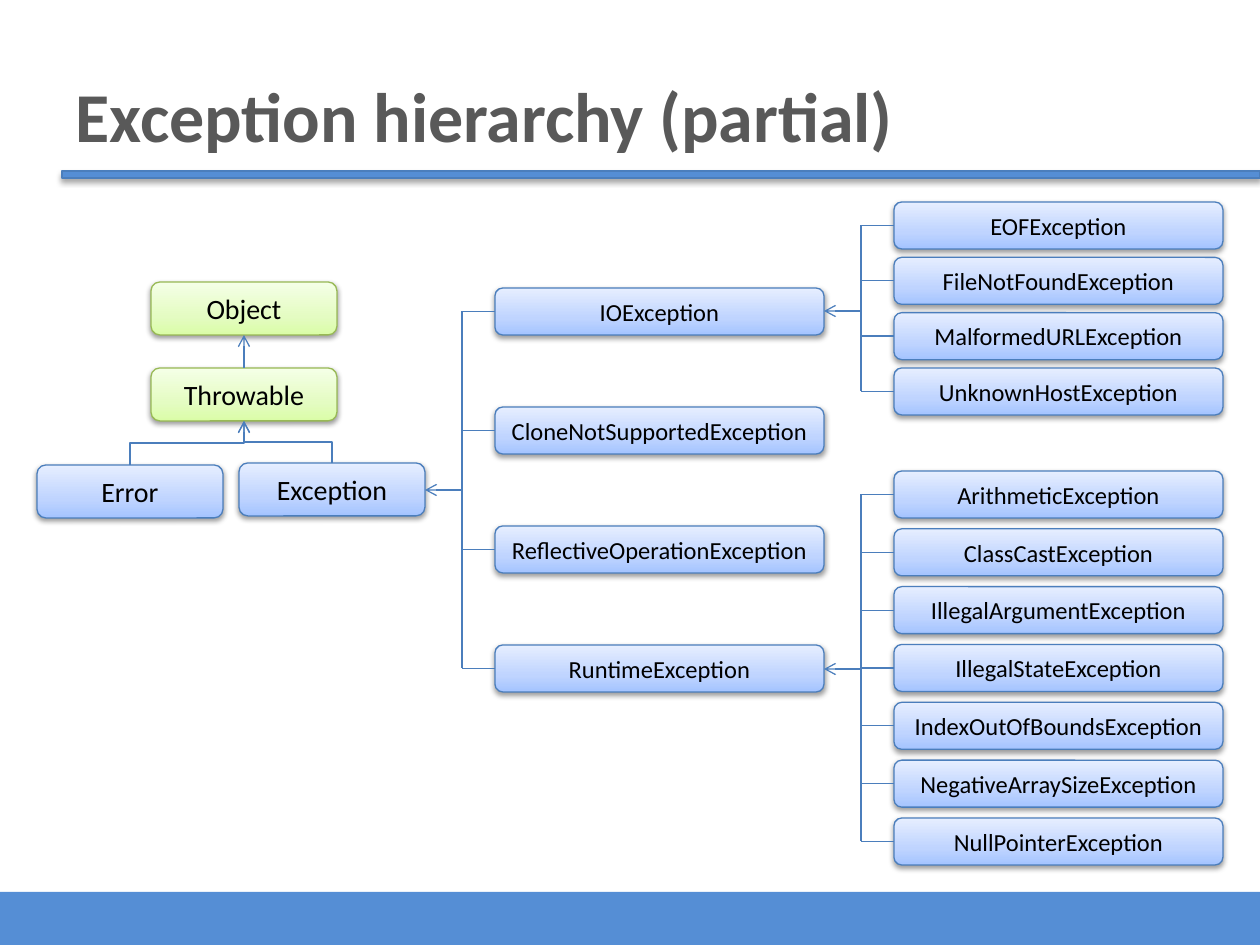
from copy import deepcopy

from pptx import Presentation
from pptx.dml.color import RGBColor
from pptx.enum.shapes import MSO_CONNECTOR as CONN, MSO_SHAPE as SHAPE
from pptx.enum.text import MSO_ANCHOR as ANCHOR, PP_ALIGN as ALIGN
from pptx.oxml import parse_xml
from pptx.oxml.ns import nsdecls, qn
from pptx.util import Pt

EMU_PER_PX = 914400 / 126
FONT = "Calibri"
BAR = RGBColor(0x55, 0x8E, 0xD5)
BLUE_LINE = RGBColor(0x4B, 0x7E, 0xBC)
GREEN_LINE = RGBColor(0x98, 0xB9, 0x55)
BLUES = [RGBColor(0xA4, 0xC4, 0xFF), RGBColor(0xBF, 0xD4, 0xFF), RGBColor(0xE6, 0xEE, 0xFF)]
GREENS = [RGBColor(0xDA, 0xFD, 0xA7), RGBColor(0xE4, 0xFC, 0xC2), RGBColor(0xF5, 0xFF, 0xE7)]
TITLE_GREY = RGBColor(0x59, 0x59, 0x59)
BLACK = RGBColor(0, 0, 0)


def px(n):
    return round(n * EMU_PER_PX)


def spread(first, last, count):
    """Evenly spaced positions from first to last."""
    return [first + (last - first) * i / (count - 1) for i in range(count)]


class HierarchySlide:
    def __init__(self, prs):
        self.slide = prs.slides.add_slide(prs.slide_layouts[5])
        self.shapes = self.slide.shapes

    def add_text(self, p, text, size, color, bold=False):
        r = p.add_run()
        r.text = text
        r.font.name, r.font.size, r.font.bold = FONT, Pt(size), bold
        r.font.color.rgb = color

    def title(self, text, x, y, w, h):
        sp = self.shapes.title
        sp.left, sp.top, sp.width, sp.height = map(px, (x, y, w, h))
        tf = sp.text_frame
        tf.vertical_anchor = ANCHOR.TOP
        tf.margin_top = px(9)
        p = tf.paragraphs[0]
        p.alignment = ALIGN.LEFT
        self.add_text(p, text, 40, TITLE_GREY, bold=True)

    def shadow(self, sp, opacity, distance):
        sp.shadow.inherit = False
        sp._element.spPr.find(qn("a:effectLst")).append(parse_xml(
            f'<a:outerShdw {nsdecls("a")} blurRad="{Pt(3.1)}" dist="{Pt(distance)}" '
            f'dir="5400000" rotWithShape="0"><a:srgbClr val="000000">'
            f'<a:alpha val="{opacity * 1000}"/></a:srgbClr></a:outerShdw>'))

    def bar(self, x, y, w, h, outlined=False):
        sp = self.shapes.add_shape(SHAPE.RECTANGLE, *map(px, (x, y, w, h)))
        sp.fill.solid()
        sp.fill.fore_color.rgb = BAR
        if outlined:
            sp.line.color.rgb = BLUE_LINE
            sp.line.width = Pt(0.75)
            self.shadow(sp, 35, 1.8)
        else:
            sp.line.fill.background()
            sp.shadow.inherit = False

    def box(self, text, x, y, w, h, size, colors=BLUES, line=BLUE_LINE):
        sp = self.shapes.add_shape(SHAPE.ROUNDED_RECTANGLE, *map(px, (x, y, w, h)))
        sp.fill.gradient()
        sp.fill.gradient_angle = 90
        stops = sp._element.spPr.find(".//" + qn("a:gsLst"))
        stops.append(deepcopy(stops[-1]))
        for stop, position, color in zip(sp.fill.gradient_stops, (0, 0.35, 1), colors):
            stop.position = position
            stop.color.rgb = color
        sp.line.color.rgb = line
        sp.line.width = Pt(0.75)
        self.shadow(sp, 38, 1.6)
        tf = sp.text_frame
        tf.word_wrap = True
        tf.vertical_anchor = ANCHOR.MIDDLE
        p = tf.paragraphs[0]
        p.alignment = ALIGN.CENTER
        self.add_text(p, text, size, BLACK)

    def line(self, x1, y1, x2, y2, arrow=False, kind=CONN.STRAIGHT):
        c = self.shapes.add_connector(kind, *map(px, (x1, y1, x2, y2)))
        c.line.color.rgb = BLUE_LINE
        c.line.width = Pt(0.75)
        if arrow:
            c._element.spPr.find(qn("a:ln")).append(
                parse_xml(f'<a:tailEnd {nsdecls("a")} type="arrow"/>'))
        c._element.spPr.append(parse_xml(f'<a:effectLst {nsdecls("a")}/>'))
        return c

    def elbow_up(self, x1, y1, x2, y2):
        """Bent arrow that leaves and arrives vertically: a sideways one turned by 270 degrees."""
        cx, cy = (x1 + x2) / 2, (y1 + y2) / 2
        half_w, half_h = (y1 - y2) / 2, (x1 - x2) / 2
        c = self.line(cx - half_w, cy + half_h, cx + half_w, cy - half_h, True, CONN.ELBOW)
        c._element.spPr.find(qn("a:xfrm")).set("rot", str(270 * 60000))

    def branch(self, names, x, first, last, trunk, target, target_y):
        """Column of subclasses joined by a trunk with an arrow to their parent."""
        w, h = 329, 47
        tops = spread(first, last, len(names))
        for name, top in zip(names, tops):
            self.box(name, x, top, w, h, 14)
            self.line(x, top + h / 2, trunk, top + h / 2)
        self.line(trunk, tops[0] + h / 2, trunk, tops[-1] + h / 2)
        self.line(trunk, target_y, target, target_y, arrow=True)


def main():
    prs = Presentation()
    prs.slide_width, prs.slide_height = px(1260), px(945)
    s = HierarchySlide(prs)

    # Title and template bars
    s.bar(0, 892, 1260, 53)
    s.bar(62, 171, 1198, 7, outlined=True)
    s.title("Exception hierarchy (partial)", 63, 64, 1134, 123)

    # Root classes
    w, h = 186, 53
    for name, y in (("Object", 282), ("Throwable", 368)):
        s.box(name, 151, y, w, h, 16, GREENS, GREEN_LINE)
    s.line(244, 368, 244, 335, arrow=True)
    for name, x, y in (("Error", 37, 465), ("Exception", 239, 463)):
        s.box(name, x, y, w, h, 16)
        s.elbow_up(x + w / 2, y, 244, 421)

    # Exception subclasses
    s.branch(["IOException", "CloneNotSupportedException",
              "ReflectiveOperationException", "RuntimeException"],
             495, 288, 645, 462, 425, 490)

    # IOException subclasses
    s.branch(["EOFException", "FileNotFoundException",
              "MalformedURLException", "UnknownHostException"],
             894, 202, 368, 861, 824, 311)

    # RuntimeException subclasses
    s.branch(["ArithmeticException", "ClassCastException", "IllegalArgumentException",
              "IllegalStateException", "IndexOutOfBoundsException",
              "NegativeArraySizeException", "NullPointerException"],
             894, 471, 818, 861, 824, 669)

    prs.save("out.pptx")


if __name__ == "__main__":
    main()
